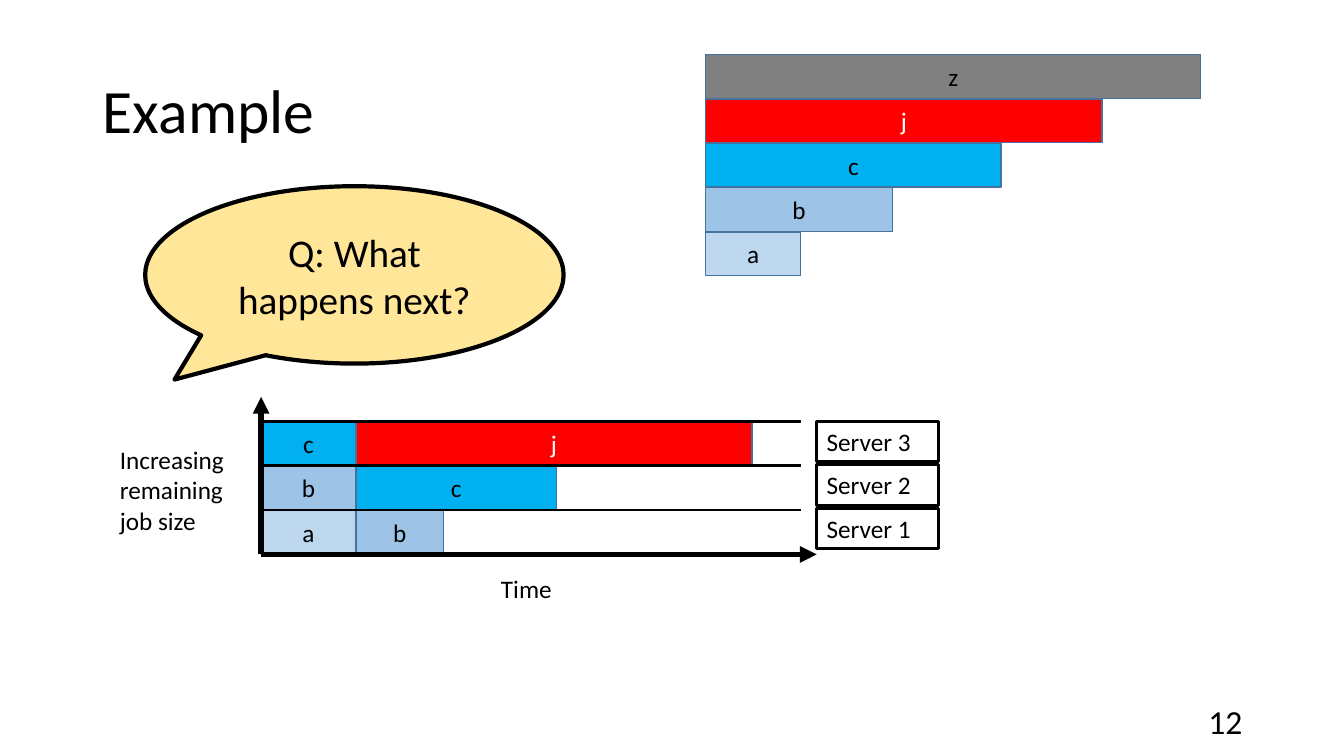
from lxml.etree import SubElement
from pptx import Presentation
from pptx.dml.color import RGBColor
from pptx.enum.shapes import MSO_CONNECTOR, MSO_SHAPE
from pptx.enum.text import MSO_ANCHOR as ANCHOR, PP_ALIGN as ALIGN
from pptx.oxml.ns import qn
from pptx.util import Inches, Pt

COLORS = {
    "black": "000000", "white": "FFFFFF", "edge": "43739E", "bubble": "FFE699",
    "a": "BDD7EE", "b": "9DC3E6", "c": "00B0F0", "j": "FF0000", "z": "808080",
}
COL, ROW = Inches(1), Inches(0.44)  # one grid row holds one job bar
JOB_SIZE = {"z": 4.91, "j": 3.93, "c": 2.93, "b": 1.85, "a": 0.94}  # columns


def rgb(name):
    return RGBColor.from_string(COLORS[name])


class Deck:
    """Style and current slide; positions are in grid columns and rows."""

    font = "Calibri"

    def __init__(self):
        self.prs = Presentation()
        self.prs.slide_width, self.prs.slide_height = Inches(13.33), Inches(7.5)
        self.slide = self.prs.slides.add_slide(self.prs.slide_layouts[5])

    def box(self, x, y, w, h):
        return round(x * COL), round(y * ROW), round(w * COL), round(h * ROW)

    def set_text(self, sp, text, size=18, color="black", align=ALIGN.LEFT,
                 anchor=ANCHOR.TOP):
        tf = sp.text_frame
        tf.text, tf.word_wrap, tf.vertical_anchor = text, True, anchor
        p = tf.paragraphs[0]
        p.alignment = align
        font = p.runs[0].font
        font.name, font.size, font.color.rgb = self.font, Pt(size), rgb(color)
        return p

    def title(self, text, x, y, w, h):
        sp = self.slide.shapes.title
        sp.left, sp.top, sp.width, sp.height = self.box(x, y, w, h)
        self.set_text(sp, text, 44, anchor=ANCHOR.MIDDLE).line_spacing = 0.9

    def text(self, text, x, y, w, h, **style):
        sp = self.slide.shapes.add_textbox(*self.box(x, y, w, h))
        self.set_text(sp, text, **style)
        return sp

    def framed(self, text, x, y, w, h):
        sp = self.text(text, x, y, w, h)
        sp.line.color.rgb, sp.line.width = rgb("black"), Pt(2)

    def shape(self, kind, text, x, y, w, h, fill, edge, weight, **style):
        sp = self.slide.shapes.add_shape(kind, *self.box(x, y, w, h))
        sp.shadow.inherit = False
        sp.fill.solid()
        sp.fill.fore_color.rgb = rgb(fill)
        sp.line.color.rgb, sp.line.width = rgb(edge), Pt(weight)
        self.set_text(sp, text, align=ALIGN.CENTER, anchor=ANCHOR.MIDDLE, **style)
        return sp

    def job(self, name, x, y, w):
        self.shape(MSO_SHAPE.RECTANGLE, name, x, y, w, 0.99, name, "edge", 1,
                   color="white" if name == "j" else "black")

    def line(self, x1, y1, x2, y2, weight, arrow=False):
        ends = self.box(x1, y1, x2, y2)
        cn = self.slide.shapes.add_connector(MSO_CONNECTOR.STRAIGHT, *ends)
        cn.line.color.rgb, cn.line.width = rgb("black"), Pt(weight)
        sp_pr = cn.element.spPr
        if arrow:
            SubElement(sp_pr.find(qn("a:ln")), qn("a:tailEnd"), type="triangle")
        SubElement(sp_pr, qn("a:effectLst"))


def main():
    deck = Deck()
    deck.title("Example", 0.92, 0.91, 11.5, 3.3)

    # Schedule: each server runs one job, then the next larger one
    left, top, first = 2.59, 9.5, JOB_SIZE["a"]
    lanes = [("Server 3", "c", "j", 3.93), ("Server 2", "b", "c", 1.99),
             ("Server 1", "a", "b", 0.87)]
    for i, (_, done, following, remaining) in enumerate(lanes):
        deck.job(following, left + first, top + i, remaining)
        deck.job(done, left, top + i, first)

    # Slide number and question
    deck.text("12", 9.42, 15.8, 3, 0.91, size=24, align=ALIGN.RIGHT,
              anchor=ANCHOR.MIDDLE)
    bubble = deck.shape(MSO_SHAPE.OVAL_CALLOUT, "Q: What happens next?",
                        1.44, 4.2, 4.15, 4, "bubble", "black", 3, size=28)
    bubble.adjustments[0], bubble.adjustments[1] = -0.43, 0.59

    # Axes and their labels
    base = top + len(lanes)
    deck.line(left, base, left, 8.95, 4, arrow=True)
    deck.text("Increasing remaining job size", 1.09, 9.91, 1.25, 2.3)
    deck.line(left, base, 8.1, base, 4, arrow=True)
    deck.text("Time", 4.87, 12.82, 0.79, 0.91)

    # Lane borders and server names
    for i in range(len(lanes) + 1):
        deck.line(left, top + i, 7.94, top + i, 2)
    for i, (server, *_) in enumerate(lanes):
        deck.framed(server, 8.1, top + 0.98 * i, 1.21, 0.91)

    # Jobs stacked by size
    for i, (name, size) in enumerate(JOB_SIZE.items()):
        deck.job(name, 7, 1.23 + i, size)

    deck.prs.save("out.pptx")


if __name__ == "__main__":
    main()
